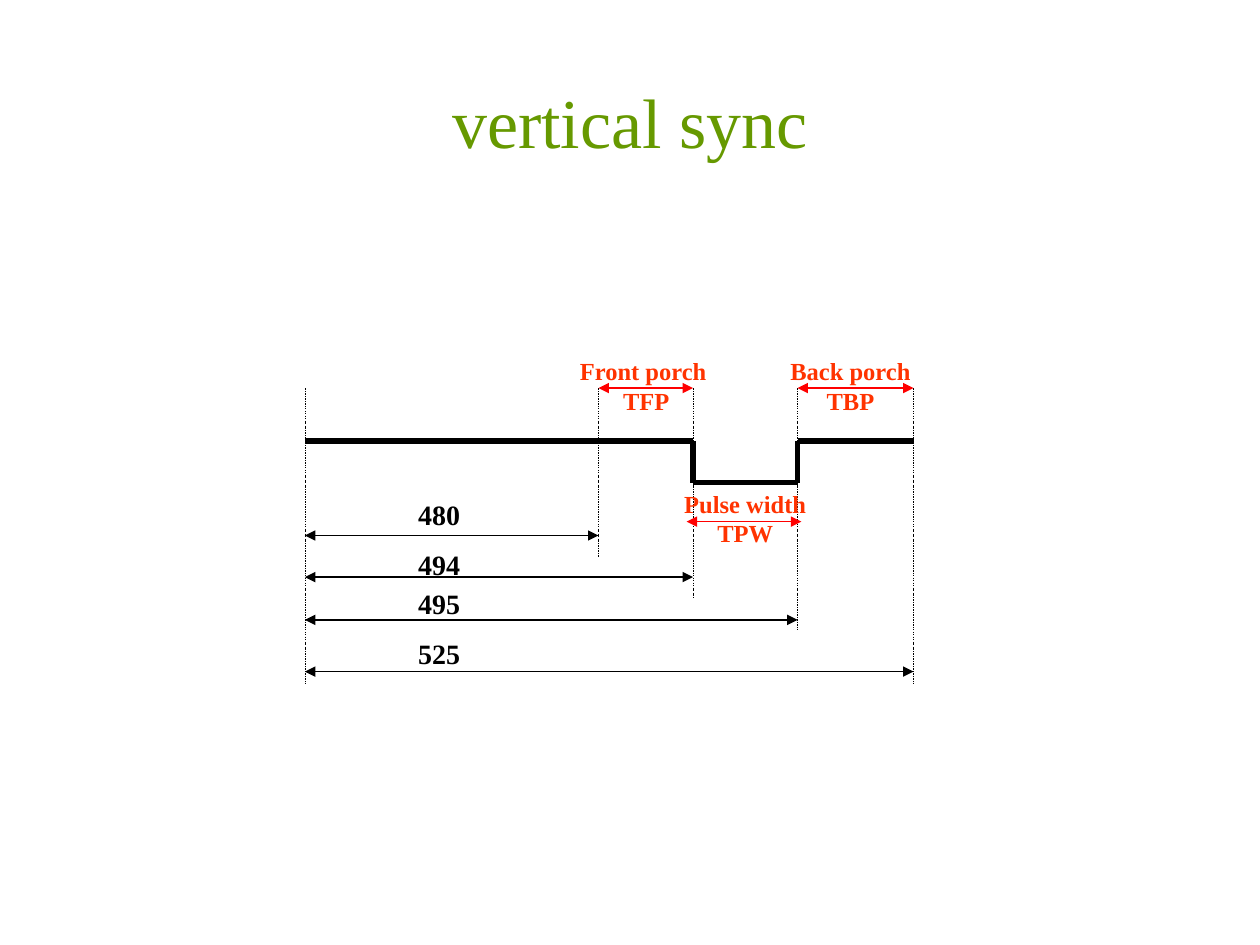
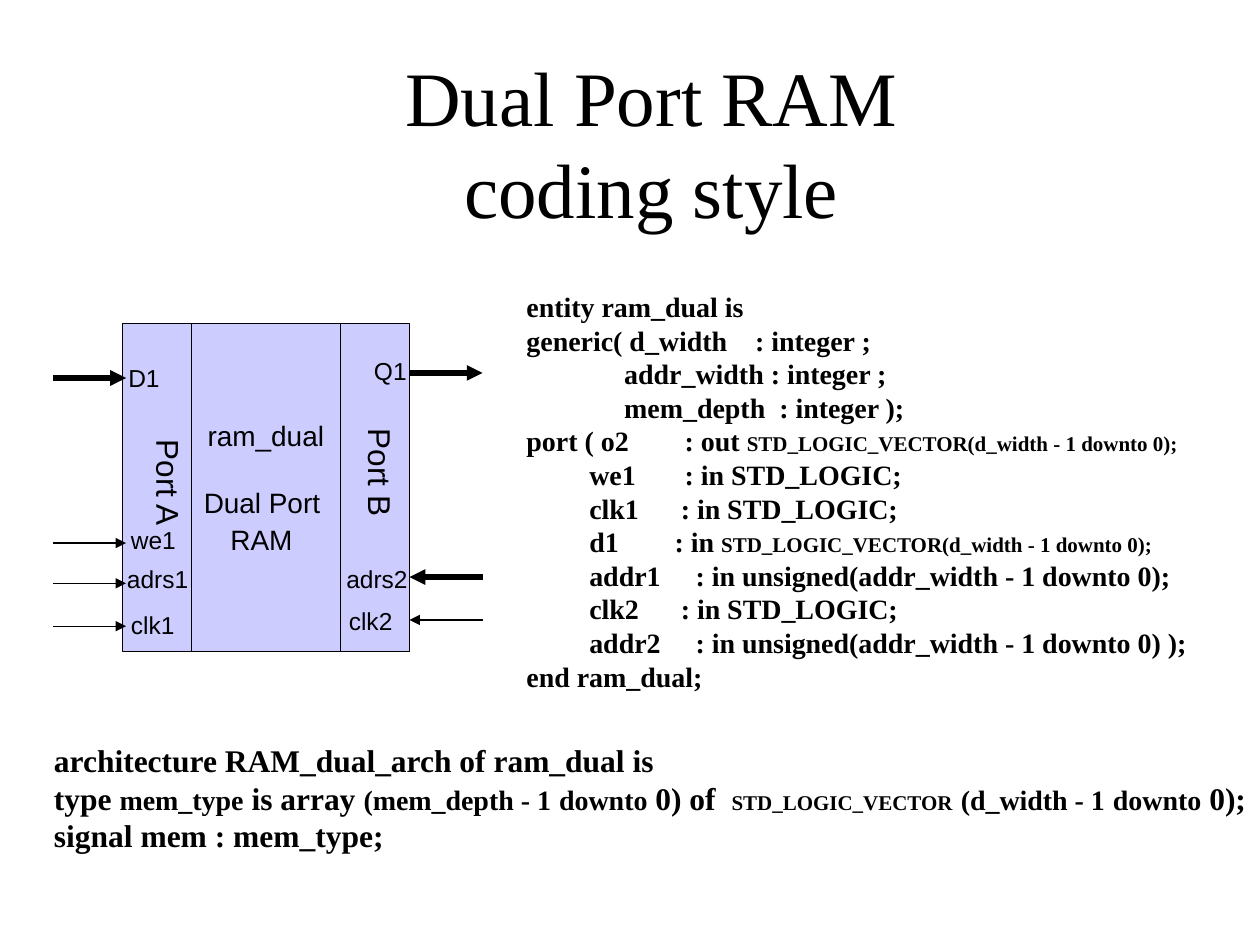
from itertools import pairwise

from lxml.etree import SubElement
from pptx import Presentation
from pptx.dml.color import RGBColor
from pptx.enum.dml import MSO_LINE
from pptx.enum.shapes import MSO_CONNECTOR, MSO_SHAPE
from pptx.enum.text import MSO_ANCHOR as ANCHOR, MSO_AUTO_SIZE as FIT, PP_ALIGN as ALIGN
from pptx.oxml.ns import qn
from pptx.util import Inches, Pt

BLACK = RGBColor(0x00, 0x00, 0x00)
GREEN = RGBColor(0x66, 0x99, 0x00)
RED = RGBColor(0xFF, 0x00, 0x00)
ORANGE = RGBColor(0xFF, 0x33, 0x00)
LILAC = RGBColor(0xCC, 0xCC, 0xFF)
SERIF, SANS = "Times New Roman", "Arial"
THIN, THICK = 0.75, 3

# Text looks: font values, with the colour apart
HEAD = {"name": SERIF, "bold": False}
BOLD = {"name": SERIF, "bold": True}
PLAIN = {"name": SANS, "bold": False}

# Vertical sync: start of the frame, then label, x, arrow y, label top, guide end
START, TOP, HIGH, LOW = 2.42, 3.08, 3.5, 3.83
SPANS = [
    ("480", 4.75, 4.25, 3.9, 4.42),
    ("494", 5.5, 4.58, 4.3, 4.75),
    ("495", 6.33, 4.92, 4.61, 5),
    ("525", 7.25, 5.33, 5, 5.42),
]
WAVE = [(START, HIGH), (5.5, HIGH), (5.5, LOW), (6.33, LOW), (6.33, HIGH), (7.25, HIGH)]
# Lines, box, arrow from x, to x, y
PARTS = [
    (["Front porch ", "TFP"], (4.5, 2.78, 1.26, 0.57), 4.75, 5.5, TOP),
    (["Back porch", "TBP"], (6.17, 2.78, 1.16, 0.57), 6.33, 7.25, TOP),
    (["Pulse width", "TPW"], (5.33, 3.83, 1.17, 0.8), 5.45, 6.36, 4.14),
]

# Dual port RAM: a line is a string or a list of (text, size) runs
VECTOR = ("STD_LOGIC_VECTOR(d_width - 1 downto 0);", 12)
ENTITY = [
    "entity ram_dual is",
    "generic( d_width    : integer ;",
    "              addr_width : integer ;",
    "              mem_depth  : integer );",
    [("port ( o2        : out ", 16), VECTOR],
    "         we1       : in STD_LOGIC;",
    "         clk1      : in STD_LOGIC;",
    [("         d1        : in ", 16), VECTOR],
    "         addr1     : in unsigned(addr_width - 1 downto 0);",
    "         clk2      : in STD_LOGIC;",
    "         addr2     : in unsigned(addr_width - 1 downto 0) );",
    "end ram_dual;",
]
ARCH = [
    "architecture RAM_dual_arch of ram_dual is",
    [("type ", 18), ("mem_type", 16), (" is array ", 18), ("(mem_depth - 1", 16),
     (" ", 18), ("downto", 16), (" 0) of  ", 18), ("STD_LOGIC_VECTOR", 12),
     (" ", 18), ("(d_width - 1", 16), (" ", 18), ("downto", 16), (" 0);", 18)],
    "signal mem : mem_type;",
]
BLOCK = (0.97, 2.57, 2.28, 2.6)
CHIP = ["ram_dual", "Dual Port ", [("RAM", 16), (" ", 18)]]
WALLS = [1.52, 2.7]
PINS = [
    ("D1", 0.92, 2.83), ("Q1", 2.87, 2.78), ("we1", 0.94, 4.12),
    ("adrs1", 0.91, 4.43), ("clk1", 0.94, 4.79),
    ("adrs2", 2.65, 4.43), ("clk2", 2.67, 4.76),
]
PORTS = [("Port A", 0.81, 3.6), ("Port B", 2.49, 3.52)]
# Arrow from x, to x, y, width
WIRES = [
    (0.42, 1, 3, THICK), (0.42, 1, 4.31, THIN), (0.42, 1, 4.63, THIN),
    (0.42, 1, 4.97, THIN), (3.25, 3.83, 2.96, THICK),
    (3.83, 3.25, 4.58, THICK), (3.83, 3.25, 4.92, THIN),
]


def put(item, vals):
    for key, val in vals.items():
        setattr(item, key, val)


def write(frame, lines, look, size, color=BLACK, align=ALIGN.LEFT):
    for num, line in enumerate(lines):
        para = frame.add_paragraph() if num else frame.paragraphs[0]
        para.alignment = align
        for text, pts in [(line, size)] if isinstance(line, str) else line:
            run = para.add_run()
            run.text = text
            put(run.font, {**look, "size": Pt(pts)})
            run.font.color.rgb = color


def label(slide, box, lines, look, size, color=BLACK, align=ALIGN.LEFT):
    shape = slide.shapes.add_textbox(*map(Inches, box))
    shape.text_frame.word_wrap = True
    write(shape.text_frame, lines, look, size, color, align)
    return shape


def draw(slide, start, end, width=THIN, color=BLACK, tips=(), dash=None):
    wire = slide.shapes.add_connector(MSO_CONNECTOR.STRAIGHT, *map(Inches, start + end))
    put(wire.line, {"width": Pt(width), "dash_style": dash})
    wire.line.color.rgb = color
    props = wire.element.spPr
    for tip in tips:
        SubElement(props.find(qn("a:ln")), qn(f"a:{tip}"), type="triangle")
    SubElement(props, qn("a:effectLst"))


def page(deck, lines, box, size, color):
    slide = deck.slides.add_slide(deck.slide_layouts[5])
    title = slide.shapes.title
    put(title, dict(zip(("left", "top", "width", "height"), map(Inches, box))))
    frame = title.text_frame
    put(frame, {"vertical_anchor": ANCHOR.MIDDLE, "auto_size": FIT.NONE, "word_wrap": True})
    write(frame, lines, HEAD, size, color, ALIGN.CENTER)
    for para in frame.paragraphs:
        para.space_before = Pt(0)
    return slide


def sync(deck):
    slide = page(deck, ["vertical sync"], (0.75, 0.33, 8.5, 1.25), 40, GREEN)
    both = ("headEnd", "tailEnd")

    # Signal
    for start, end in pairwise(WAVE):
        draw(slide, start, end, THICK)

    # Line counts and guides
    for text, x, y, top, end in SPANS:
        draw(slide, (START, y), (x, y), tips=both)
        draw(slide, (x, TOP), (x, end), 0.25, dash=MSO_LINE.DASH_DOT)
        label(slide, (3.22, top, 0.7, 0.37), [text], BOLD, 16)
    draw(slide, (START, TOP), (START, SPANS[-1][-1]), 0.25, dash=MSO_LINE.DASH_DOT)

    # Porches and pulse
    for lines, box, left, right, y in PARTS:
        draw(slide, (left, y), (right, y), color=RED, tips=both)
        label(slide, box, lines, BOLD, 14, ORANGE, ALIGN.CENTER)


def ram(deck):
    slide = page(deck, ["Dual Port RAM", "coding style"], (0.92, 0.5, 8.5, 1.25), 44, BLACK)

    # Code
    label(slide, (4.08, 2.25, 5.58, 3.3), ENTITY, BOLD, 16)
    label(slide, (0.33, 5.83, 9.92, 1), ARCH, BOLD, 18)

    # Memory block
    block = slide.shapes.add_shape(MSO_SHAPE.RECTANGLE, *map(Inches, BLOCK))
    block.shadow.inherit = False
    block.fill.solid()
    block.fill.fore_color.rgb = LILAC
    block.line.color.rgb = BLACK
    block.line.width = Pt(THIN)
    frame = block.text_frame
    put(frame, {"vertical_anchor": ANCHOR.MIDDLE, "word_wrap": False})
    write(frame, CHIP, PLAIN, 16, align=ALIGN.CENTER)
    frame.paragraphs[1].space_before = Pt(19)
    top, high = BLOCK[1], BLOCK[3]
    for x in WALLS:
        draw(slide, (x, top), (x, top + high))

    # Pins, ports and wires
    for text, x, y in PINS:
        label(slide, (x, y, 0.8, 0.34), [text], PLAIN, 14)
    for text, x, y in PORTS:
        port = label(slide, (x, y, 1, 0.46), [text], PLAIN, 18, align=ALIGN.CENTER)
        port.rotation = 90
    for left, right, y, width in WIRES:
        draw(slide, (left, y), (right, y), width, tips=("tailEnd",))


def main():
    deck = Presentation()
    put(deck, {"slide_width": Inches(10), "slide_height": Inches(7.5)})
    sync(deck)
    ram(deck)
    deck.save("out.pptx")


if __name__ == "__main__":
    main()
